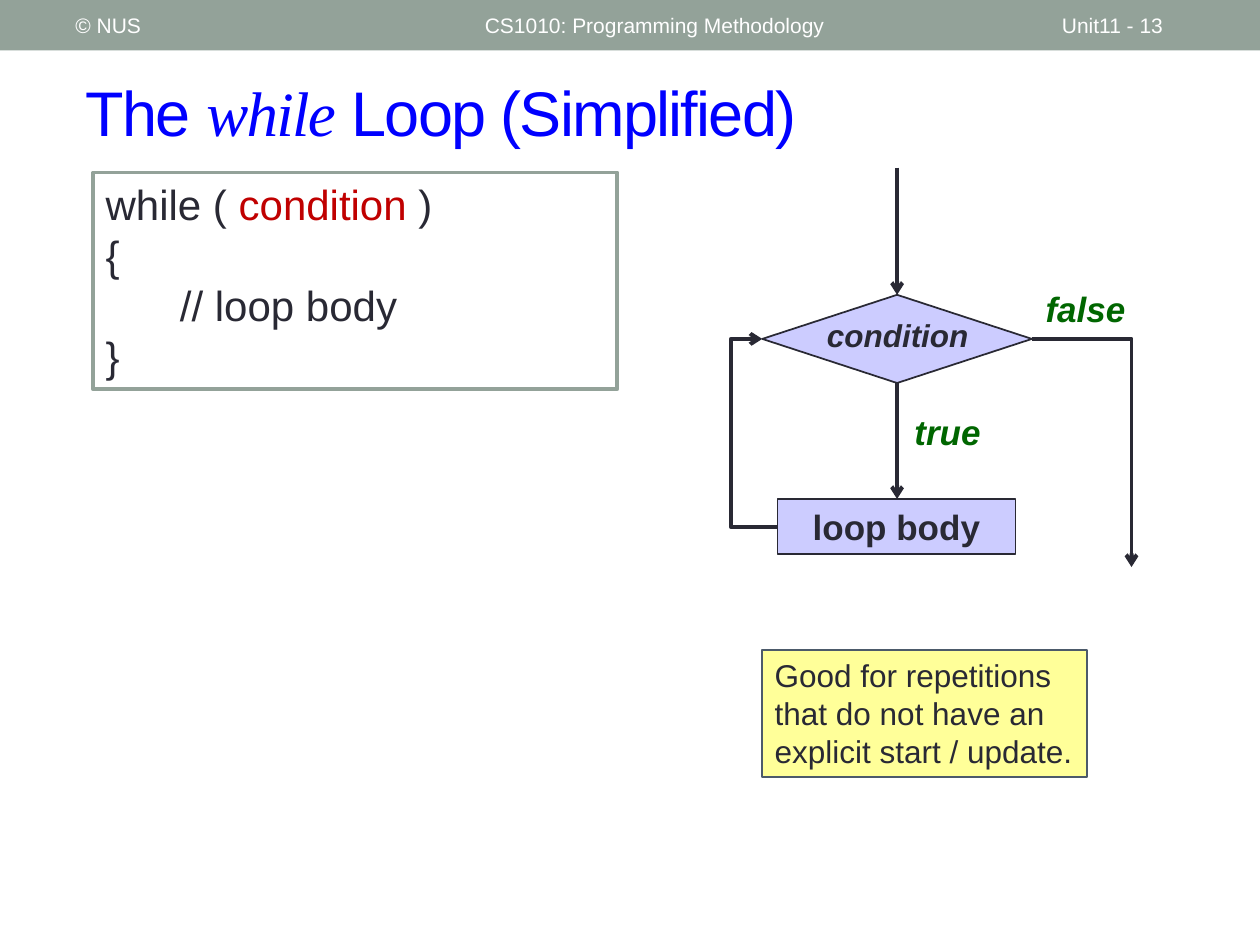
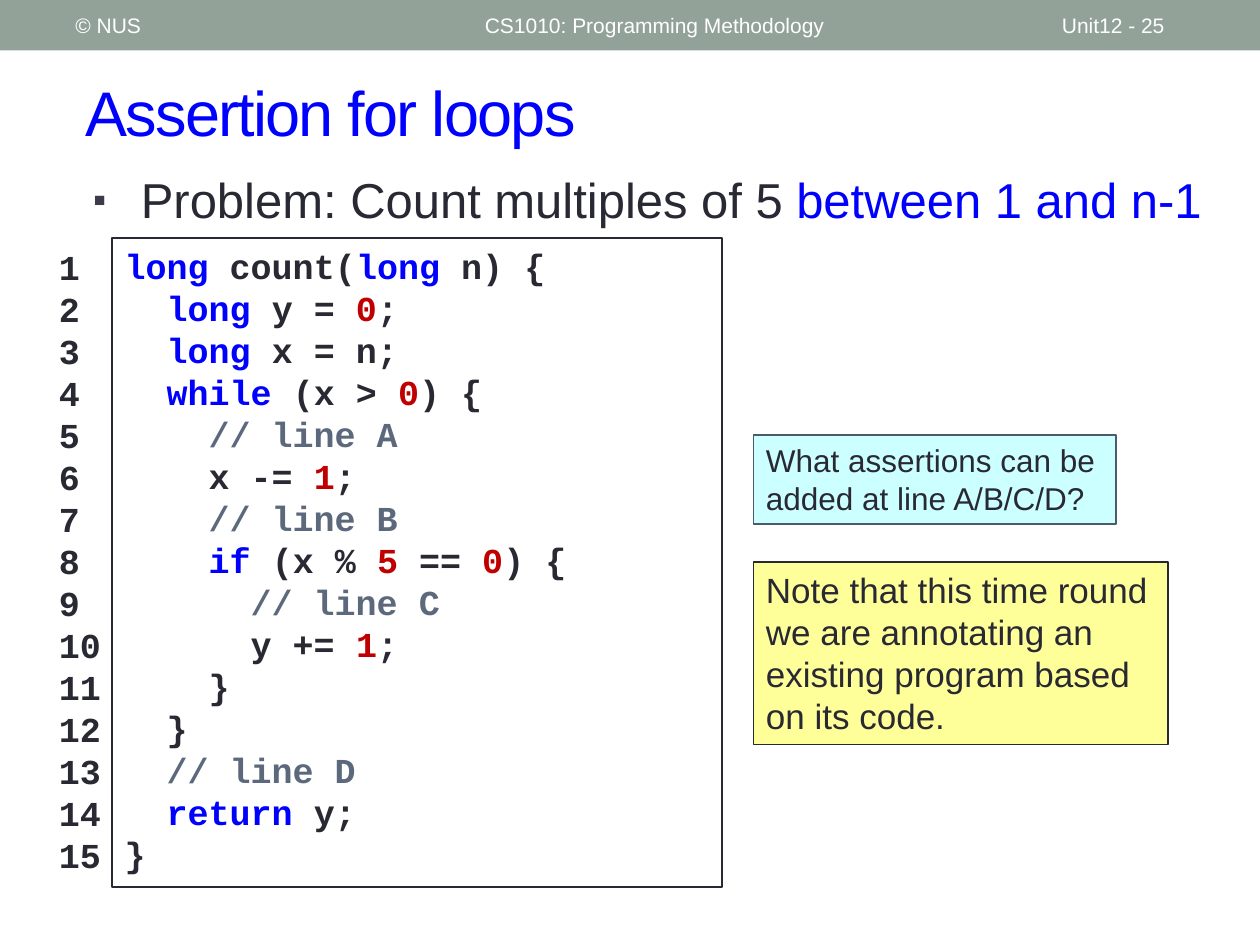
from itertools import groupby

from lxml import etree
from pptx import Presentation
from pptx.dml.color import RGBColor
from pptx.enum.shapes import MSO_CONNECTOR, MSO_SHAPE
from pptx.enum.text import MSO_ANCHOR, PP_ALIGN
from pptx.oxml.ns import qn
from pptx.util import Inches, Pt

RECT = MSO_SHAPE.RECTANGLE
DECISION = MSO_SHAPE.FLOWCHART_DECISION
PROCESS = MSO_SHAPE.FLOWCHART_PROCESS
STRAIGHT, ELBOW = MSO_CONNECTOR.STRAIGHT, MSO_CONNECTOR.ELBOW
TOP, MIDDLE = MSO_ANCHOR.TOP, MSO_ANCHOR.MIDDLE
LEFT, CENTER = PP_ALIGN.LEFT, PP_ALIGN.CENTER

COLORS = {
    "band": "93A299", "white": "FFFFFF", "ink": "292934", "blue": "0000FF",
    "red": "C00000", "green": "006600", "comment": "5C697C", "bullet": "3B3B4B",
    "lilac": "CCCCFF", "yellow": "FFFF99", "cyan": "CCFFFF", "slate": "4C5A6A",
}
SANS, SERIF, MONO = "Arial", "Times New Roman", "Courier New"

KEYWORDS = {"long", "while", "if", "return"}
COUNT_CODE = """\
long count(long n) {
  long y = 0;
  long x = n;
  while (x > 0) {
    // line A
    x -= 1;
    // line B
    if (x % 5 == 0) {
      // line C
      y += 1;
    }
  }
  // line D
  return y;
}""".split("\n")


def rgb(name):
    return RGBColor.from_string(COLORS[name])


def add_xml(parent, tag, **attrs):
    return etree.SubElement(parent, qn(tag), attrs)


# Text: a paragraph is a string or a list of (text, color) runs
def write(shape, paragraphs, size, color="ink", font=SANS, bold=False,
          italic=False, align=LEFT, anchor=TOP):
    tf = shape.text_frame
    tf.word_wrap = True
    tf.vertical_anchor = anchor
    for i, runs in enumerate(paragraphs):
        p = tf.add_paragraph() if i else tf.paragraphs[0]
        p.alignment = align
        p.font.size, p.font.name = Pt(size), font
        p.font.bold, p.font.italic = bold, italic
        p.font.color.rgb = rgb(color)
        for text, run_color in [(runs, color)] if isinstance(runs, str) else runs:
            r = p.add_run()
            r.text = text
            if run_color != color:
                r.font.color.rgb = rgb(run_color)
    return tf


def add_text(s, box, paragraphs, size, **style):
    sp = s.shapes.add_textbox(*map(Inches, box))
    return write(sp, paragraphs, size, **style)


def add_box(s, box, fill, line=None, width=1, kind=RECT):
    sp = s.shapes.add_shape(kind, *map(Inches, box))
    sp.shadow.inherit = False
    sp.fill.solid()
    sp.fill.fore_color.rgb = rgb(fill)
    if line:
        sp.line.color.rgb = rgb(line)
        sp.line.width = Pt(width)
    else:
        sp.line.fill.background()
    return sp


def add_arrow(s, start, end, kind=STRAIGHT):
    c = s.shapes.add_connector(kind, *map(Inches, start + end))
    c.line.color.rgb = rgb("ink")
    c.line.width = Pt(2.25)
    add_xml(c.line._get_or_add_ln(), "a:tailEnd", type="arrow")
    add_xml(c._element.spPr, "a:effectLst")
    return c


def add_corner_arrow(s, start, end):
    """Elbow with a single bend."""
    c = add_arrow(s, start, end, ELBOW)
    c._element.spPr.find(qn("a:prstGeom")).set("prst", "bentConnector2")


def add_detour_arrow(s, start, end, via_x):
    """Elbow whose vertical leg stands at via_x."""
    c = add_arrow(s, start, end, ELBOW)
    ratio = (via_x - start[0]) / (end[0] - start[0])
    guides = c._element.spPr.find(qn("a:prstGeom")).find(qn("a:avLst"))
    add_xml(guides, "a:gd", name="adj1", fmla=f"val {round(ratio * 100000)}")


# Shared header band and title; title runs are (text, font)
def add_page(prs, page, title):
    s = prs.slides.add_slide(prs.slide_layouts[6])
    add_box(s, (0, 0, 10, 0.4), "band")
    for x, w, text in ((0.5, 3.17, "© NUS"),
                       (3.75, 4.5, "CS1010: Programming Methodology"),
                       (8.33, 1.17, page)):
        add_text(s, (x, 0.02, w, 0.36), [text], 12, color="white", anchor=MIDDLE)
    tf = add_text(s, (0.58, 0.42, 9.17, 0.92), [[(t, "blue") for t, _ in title]],
                  36, color="blue", anchor=MIDDLE)
    for r, (_, font) in zip(tf.paragraphs[0].runs, title):
        r.font.name = font
        r.font.italic = font == SERIF
        r.font._element.set("spc", "-100")
    return s


def add_bullet(s, box, runs):
    tf = add_text(s, box, [], 28)
    pPr = tf.paragraphs[0]._p.get_or_add_pPr()
    indent = Inches(0.38)
    pPr.set("marL", str(indent))
    pPr.set("indent", str(-indent))
    add_xml(add_xml(pPr, "a:buClr"), "a:srgbClr", val=COLORS["bullet"])
    add_xml(pPr, "a:buSzPct", val="76000")
    add_xml(pPr, "a:buFont", typeface=SANS)
    add_xml(pPr, "a:buChar", char="▪")
    sp = s.shapes[-1]
    write(sp, [runs], 28)


def highlight(line):
    """Split a code line into coloured runs."""
    body = line.lstrip()
    if body.startswith("//"):
        return [(line, "comment")]
    words = ["".join(g) for _, g in groupby(line, str.isalnum)]
    return [(w, "blue" if w in KEYWORDS else "red" if w.isdigit() else "ink")
            for w in words]


def add_flowchart(s):
    mid_x, mid_y, exit_x = 7.12, 2.69, 8.98
    add_box(s, (6.05, 2.34, 2.14, 0.7), "lilac", "ink", kind=DECISION)
    add_arrow(s, (mid_x, 1.33), (mid_x, 2.34))
    add_text(s, (6.45, 2.46, 1.35, 0.4), ["condition"], 18,
             bold=True, italic=True, align=CENTER)
    body = add_box(s, (6.17, 3.96, 1.89, 0.44), "lilac", "ink", kind=PROCESS)
    write(body, ["loop body"], 20, bold=True, align=CENTER)
    for label, box in (("true", (6.99, 3.21, 1.06, 0.44)),
                       ("false", (8.14, 2.23, 0.95, 0.44))):
        add_text(s, box, [label], 20, color="green", bold=True, italic=True,
                 align=CENTER)
    add_arrow(s, (mid_x, 3.04), (mid_x, 3.96))
    add_detour_arrow(s, (6.17, 4.18), (6.05, mid_y), via_x=5.8)
    add_corner_arrow(s, (8.19, mid_y), (exit_x, 4.5))


def while_slide(prs):
    s = add_page(prs, "Unit11 - 13", [("The ", SANS), ("while", SERIF),
                                      (" Loop (Simplified)", SANS)])
    add_flowchart(s)
    # Loop syntax
    syntax = add_box(s, (0.74, 1.37, 4.16, 1.72), "white", "band", 2.08)
    tf = write(syntax, [[("while ( ", "ink"), ("condition", "red"), (" )", "ink")],
                        "{", "// loop body", "}"], 24)
    tf.paragraphs[2]._p.get_or_add_pPr().set("marL", str(Inches(0.59)))
    # Advice
    note = add_box(s, (6.05, 5.16, 2.58, 1.01), "yellow", "slate")
    write(note, ["Good for repetitions that do not have an explicit start / update."], 18)


def assertion_slide(prs):
    s = add_page(prs, "Unit12 - 25", [("Assertion for loops", SANS)])
    add_bullet(s, (0.64, 1.3, 9.17, 0.6),
               [("Problem: Count multiples of 5 ", "ink"), ("between 1 and n-1", "blue")])
    # Code listing with line numbers
    listing = add_box(s, (0.89, 1.89, 4.84, 5.15), "white", "ink", 1.5)
    write(listing, [highlight(line) for line in COUNT_CODE], 20, font=MONO, bold=True)
    numbers = [str(n) for n in range(1, len(COUNT_CODE) + 1)]
    add_text(s, (0.37, 1.9, 0.76, 5.15), numbers, 20, font=MONO, bold=True)
    # Question and remark
    question = add_box(s, (5.98, 3.45, 2.88, 0.71), "cyan", "slate")
    write(question, ["What assertions can be added at line A/B/C/D?"], 18)
    remark = add_box(s, (5.98, 4.46, 3.29, 1.45), "yellow", "ink", 0.75)
    write(remark, ["Note that this time round we are annotating an existing "
                   "program based on its code."], 20)


def main():
    prs = Presentation()
    prs.slide_width, prs.slide_height = Inches(10), Inches(7.5)
    while_slide(prs)
    assertion_slide(prs)
    prs.save("out.pptx")


if __name__ == "__main__":
    main()
